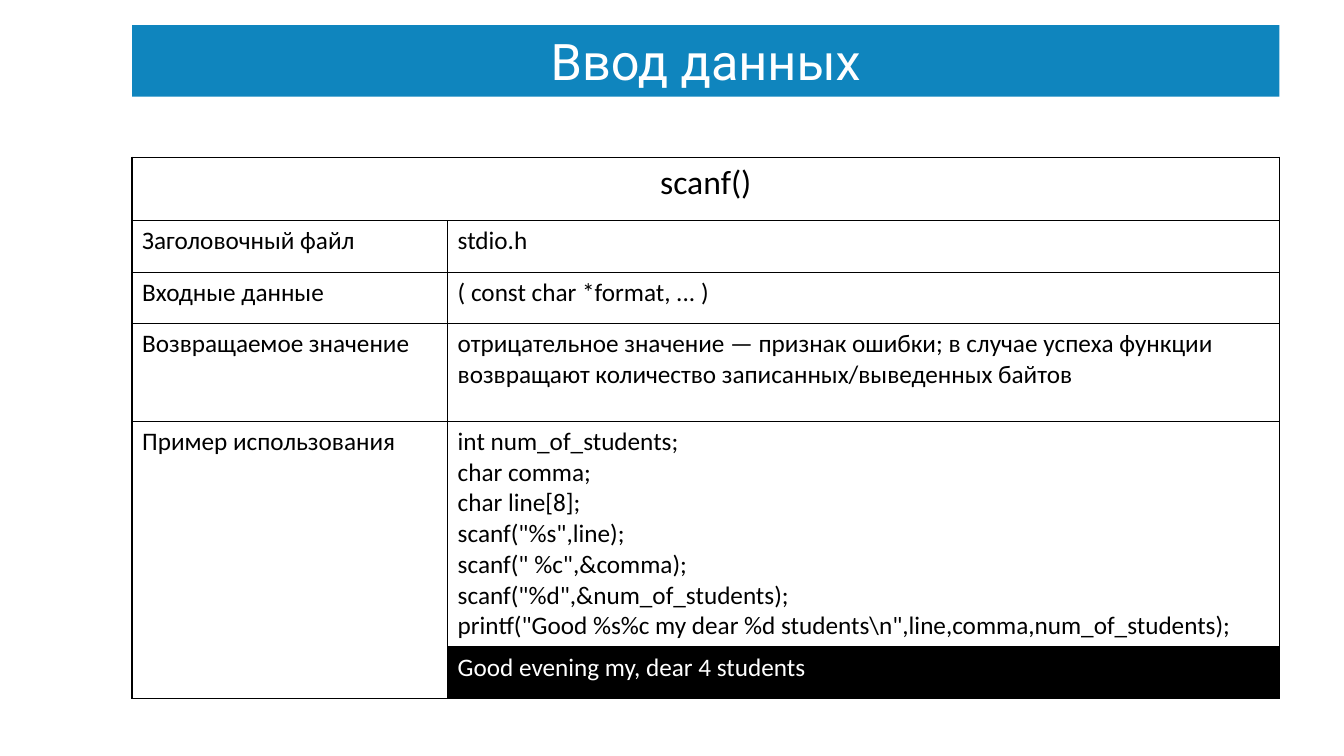
from pptx import Presentation
from pptx.dml.color import RGBColor
from pptx.enum.text import MSO_ANCHOR, MSO_AUTO_SIZE, PP_ALIGN
from pptx.oxml import parse_xml
from pptx.oxml.ns import nsdecls
from pptx.util import Inches, Pt

BLUE = RGBColor(0x0F, 0x85, 0xBE)
WHITE = RGBColor(0xFF, 0xFF, 0xFF)
BLACK = RGBColor(0x00, 0x00, 0x00)

LEFT, WIDTH = 1.31, 11.38
COLUMN_WIDTHS = [3.13, 8.25]
ROW_HEIGHTS = [0.63, 0.51, 0.51, 0.97, 2.24, 0.51]

EXAMPLE_CODE = r"""int num_of_students;
char comma;
char line[8];
scanf("%s",line);
scanf(" %c",&comma);
scanf("%d",&num_of_students);
printf("Good %s%c my dear %d students\n",line,comma,num_of_students);"""

DESCRIPTION = [
    ("Заголовочный файл", "stdio.h"),
    ("Входные данные", "( const char *format, ... )"),
    ("Возвращаемое значение",
     "отрицательное значение — признак ошибки; в случае успеха функции "
     "возвращают количество записанных/выведенных байтов"),
    ("Пример использования", EXAMPLE_CODE),
]


def add_run(paragraph, text, font_name, size, color):
    run = paragraph.add_run()
    run.text = text
    run.font.name = font_name
    run.font.size = Pt(size)
    run.font.color.rgb = color


def format_title(title, text):
    title.left, title.top = Inches(LEFT), Inches(0.25)
    title.width, title.height = Inches(WIDTH), Inches(0.71)
    title.fill.solid()
    title.fill.fore_color.rgb = BLUE
    frame = title.text_frame
    frame.auto_size = MSO_AUTO_SIZE.NONE
    frame.vertical_anchor = MSO_ANCHOR.BOTTOM
    paragraph = frame.paragraphs[0]
    paragraph.alignment = PP_ALIGN.CENTER
    paragraph.line_spacing = 0.9
    add_run(paragraph, text, "Roboto", 36, WHITE)


def set_borders(cell):
    properties = cell._tc.get_or_add_tcPr()
    for side in ("lnL", "lnR", "lnT", "lnB"):
        properties.append(parse_xml(
            f'<a:{side} {nsdecls("a")} w="{Pt(1)}"><a:solidFill>'
            f'<a:srgbClr val="{BLACK}"/></a:solidFill></a:{side}>'))


def add_grid(slide):
    frame = slide.shapes.add_table(
        len(ROW_HEIGHTS), len(COLUMN_WIDTHS), Inches(LEFT), Inches(1.56),
        Inches(WIDTH), Inches(sum(ROW_HEIGHTS)))
    table = frame.table
    table.first_row = False
    table.horz_banding = False
    for column, width in zip(table.columns, COLUMN_WIDTHS):
        column.width = Inches(width)
    for row, height in zip(table.rows, ROW_HEIGHTS):
        row.height = Inches(height)
    for cell in table.iter_cells():
        set_borders(cell)
        cell.fill.background()
    table.cell(0, 0).merge(table.cell(0, 1))
    table.cell(4, 0).merge(table.cell(5, 0))
    return table


def fill_cell(cell, text, size=18, color=BLACK, alignment=PP_ALIGN.LEFT):
    frame = cell.text_frame
    for index, line in enumerate(text.split("\n")):
        paragraph = frame.add_paragraph() if index else frame.paragraphs[0]
        paragraph.alignment = alignment
        add_run(paragraph, line, "Calibri", size, color)


def main():
    presentation = Presentation()
    presentation.slide_width = Inches(13.33)
    presentation.slide_height = Inches(7.5)
    slide = presentation.slides.add_slide(presentation.slide_layouts[5])
    format_title(slide.shapes.title, "Ввод данных")

    table = add_grid(slide)
    fill_cell(table.cell(0, 0), "scanf()", 24, alignment=PP_ALIGN.CENTER)
    for row, texts in enumerate(DESCRIPTION, start=1):
        for column, text in enumerate(texts):
            fill_cell(table.cell(row, column), text)
    output = table.cell(5, 1)
    output.fill.solid()
    output.fill.fore_color.rgb = BLACK
    fill_cell(output, "Good evening my, dear 4 students", color=WHITE)

    presentation.save("out.pptx")


if __name__ == "__main__":
    main()
